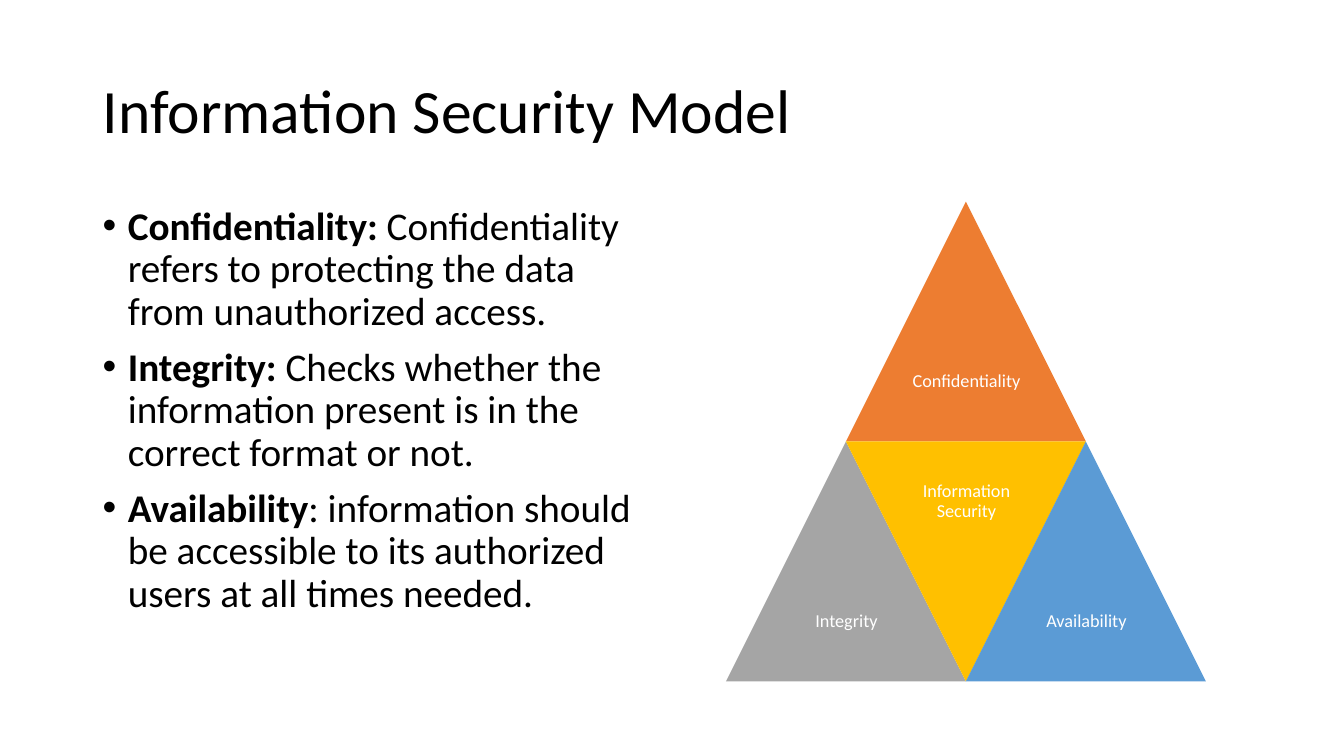
from dataclasses import dataclass

from lxml.etree import SubElement
from pptx import Presentation
from pptx.dml.color import RGBColor
from pptx.enum.shapes import MSO_SHAPE
from pptx.enum.text import MSO_ANCHOR, MSO_AUTO_SIZE, PP_ALIGN
from pptx.oxml.ns import qn
from pptx.util import Emu, Pt

EMU_PER_PX = 9144  # 100 px to the inch
FONT = "Calibri"
BLACK = RGBColor(0x00, 0x00, 0x00)
WHITE = RGBColor(0xFF, 0xFF, 0xFF)
ORANGE = RGBColor(0xED, 0x7D, 0x31)
GRAY = RGBColor(0xA5, 0xA5, 0xA5)
GOLD = RGBColor(0xFF, 0xC0, 0x00)
BLUE = RGBColor(0x5B, 0x9B, 0xD5)

SIDE = 238
HALF = SIDE // 2
PYRAMID_LEFT, PYRAMID_TOP = 720, 200


@dataclass(frozen=True)
class Term:
    name: str
    meaning: str


@dataclass(frozen=True)
class Triangle:
    """One part of the pyramid, placed by half sides across and rows down."""
    label: str
    color: RGBColor
    half_steps: int
    row: int
    inverted: bool = False


TERMS = [
    Term("Confidentiality:", " Confidentiality refers to protecting the data from unauthorized access."),
    Term("Integrity:", " Checks whether the information present is in the correct format or not."),
    Term("Availability", ": information should be accessible to its authorized users at all times needed."),
]
TRIANGLES = [
    Triangle("Confidentiality", ORANGE, 1, 0),
    Triangle("Integrity", GRAY, 0, 1),
    Triangle("Information Security", GOLD, 1, 1, inverted=True),
    Triangle("Availability", BLUE, 2, 1),
]


def px(n: int) -> Emu:
    return Emu(n * EMU_PER_PX)


def box(left: int, top: int, width: int, height: int) -> tuple[Emu, ...]:
    return px(left), px(top), px(width), px(height)


def add_run(p, text: str, size: int, color: RGBColor, bold: bool = False) -> None:
    r = p.add_run()
    r.text = text
    for name, value in {"name": FONT, "size": Pt(size), "bold": bold}.items():
        setattr(r.font, name, value)
    r.font.color.rgb = color


def set_title(s, text: str) -> None:
    sp = s.shapes.title
    sp.left, sp.top, sp.width, sp.height = box(92, 40, 1150, 145)
    tf = sp.text_frame
    tf.auto_size = MSO_AUTO_SIZE.NONE
    tf.vertical_anchor = MSO_ANCHOR.MIDDLE
    p = tf.paragraphs[0]
    p.alignment = PP_ALIGN.LEFT
    p.line_spacing = 0.9
    add_run(p, text, 44, BLACK)


def add_bullet(p) -> None:
    pPr = p._p.get_or_add_pPr()
    pPr.set("marL", str(px(25)))
    pPr.set("indent", str(px(-25)))
    SubElement(pPr, qn("a:buFont")).set("typeface", "Arial")
    SubElement(pPr, qn("a:buChar")).set("char", "•")


def add_terms(s, terms: list[Term]) -> None:
    tf = s.shapes.add_textbox(*box(92, 200, 567, 476)).text_frame
    tf.word_wrap = True
    for i, term in enumerate(terms):
        p = tf.add_paragraph() if i else tf.paragraphs[0]
        add_bullet(p)
        p.line_spacing = 0.9
        p.space_before = Pt(10 if i else 0)
        add_run(p, term.name, 28, BLACK, bold=True)
        add_run(p, term.meaning, 28, BLACK)


def add_triangle(s, part: Triangle) -> None:
    left = PYRAMID_LEFT + part.half_steps * HALF
    top = PYRAMID_TOP + part.row * SIDE
    sp = s.shapes.add_shape(MSO_SHAPE.ISOSCELES_TRIANGLE, *box(left, top, SIDE, SIDE))
    sp.shadow.inherit = False
    sp.rotation = 180 if part.inverted else 0
    sp.fill.solid()
    sp.fill.fore_color.rgb = part.color
    sp.line.fill.background()

    label_top = top if part.inverted else top + HALF
    tf = s.shapes.add_textbox(*box(left + HALF // 2 + 1, label_top, HALF, HALF)).text_frame
    for side in ("left", "top", "right", "bottom"):
        setattr(tf, f"margin_{side}", px(5))
    tf.word_wrap = True
    tf.vertical_anchor = MSO_ANCHOR.MIDDLE
    p = tf.paragraphs[0]
    p.alignment = PP_ALIGN.CENTER
    p.line_spacing = 0.9
    add_run(p, part.label, 13, WHITE)


def main() -> None:
    prs = Presentation()
    prs.slide_width, prs.slide_height = px(1333), px(750)
    s = prs.slides.add_slide(prs.slide_layouts.get_by_name("Title Only"))
    set_title(s, "Information Security Model")
    add_terms(s, TERMS)
    for part in TRIANGLES:
        add_triangle(s, part)
    prs.save("out.pptx")


if __name__ == "__main__":
    main()
